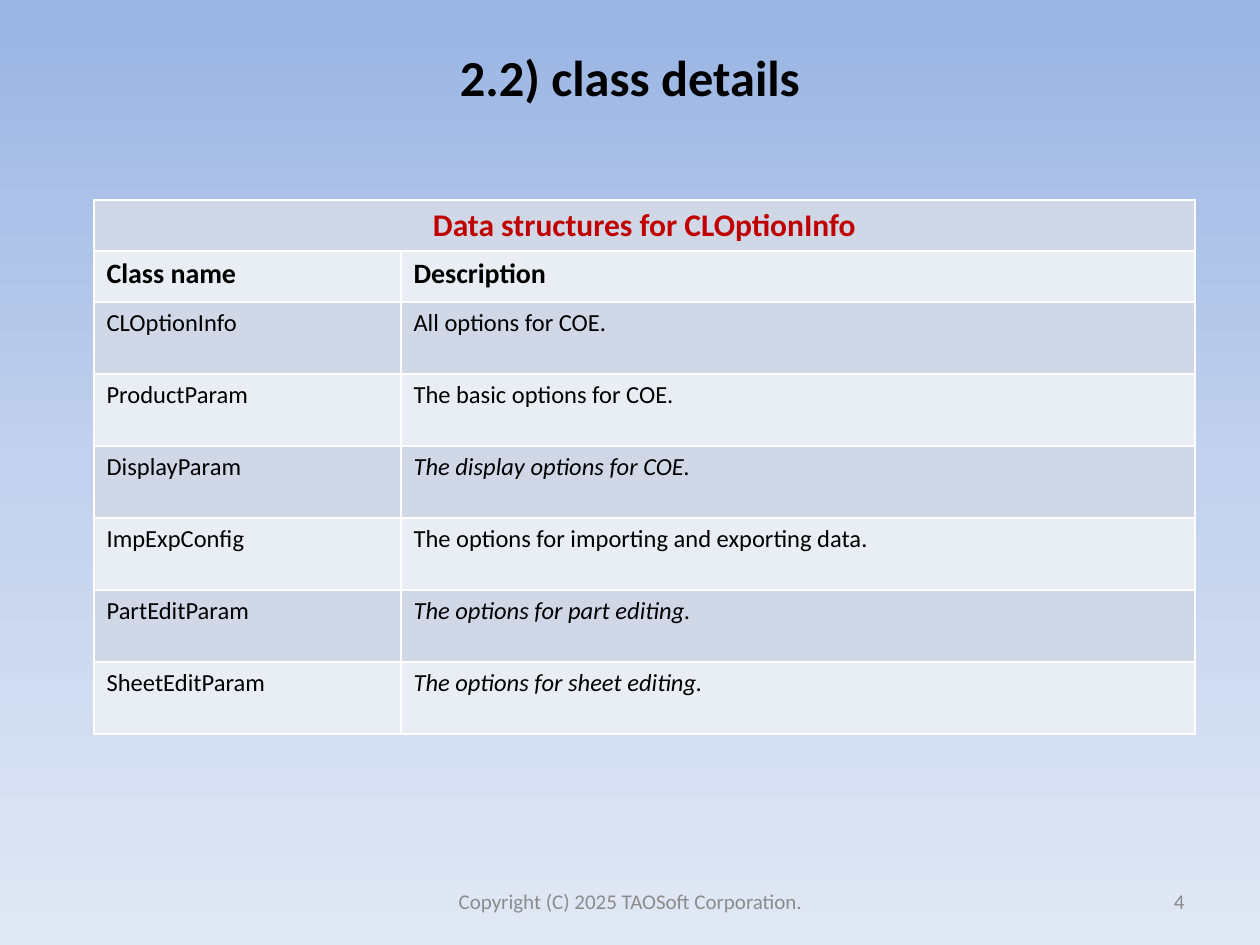
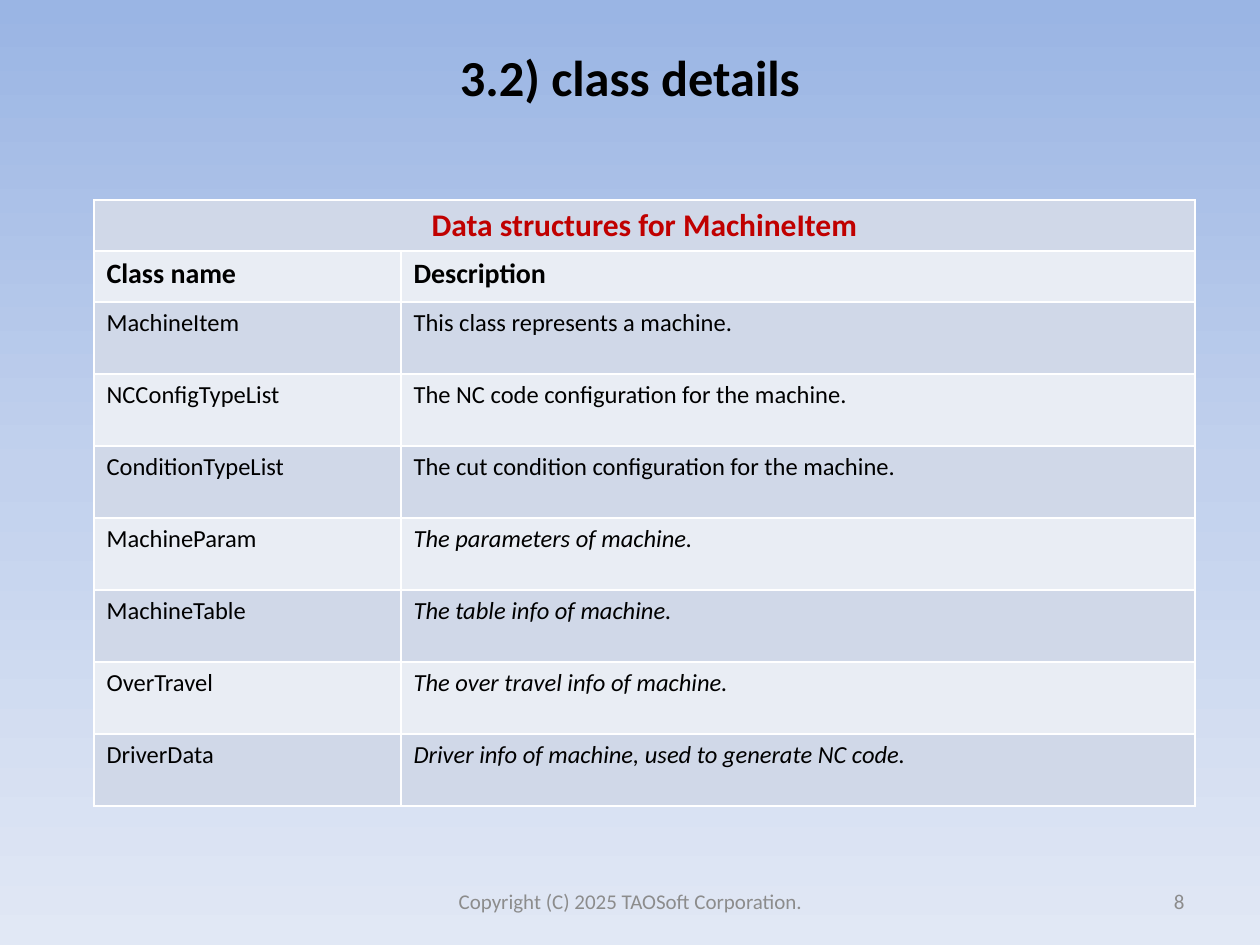
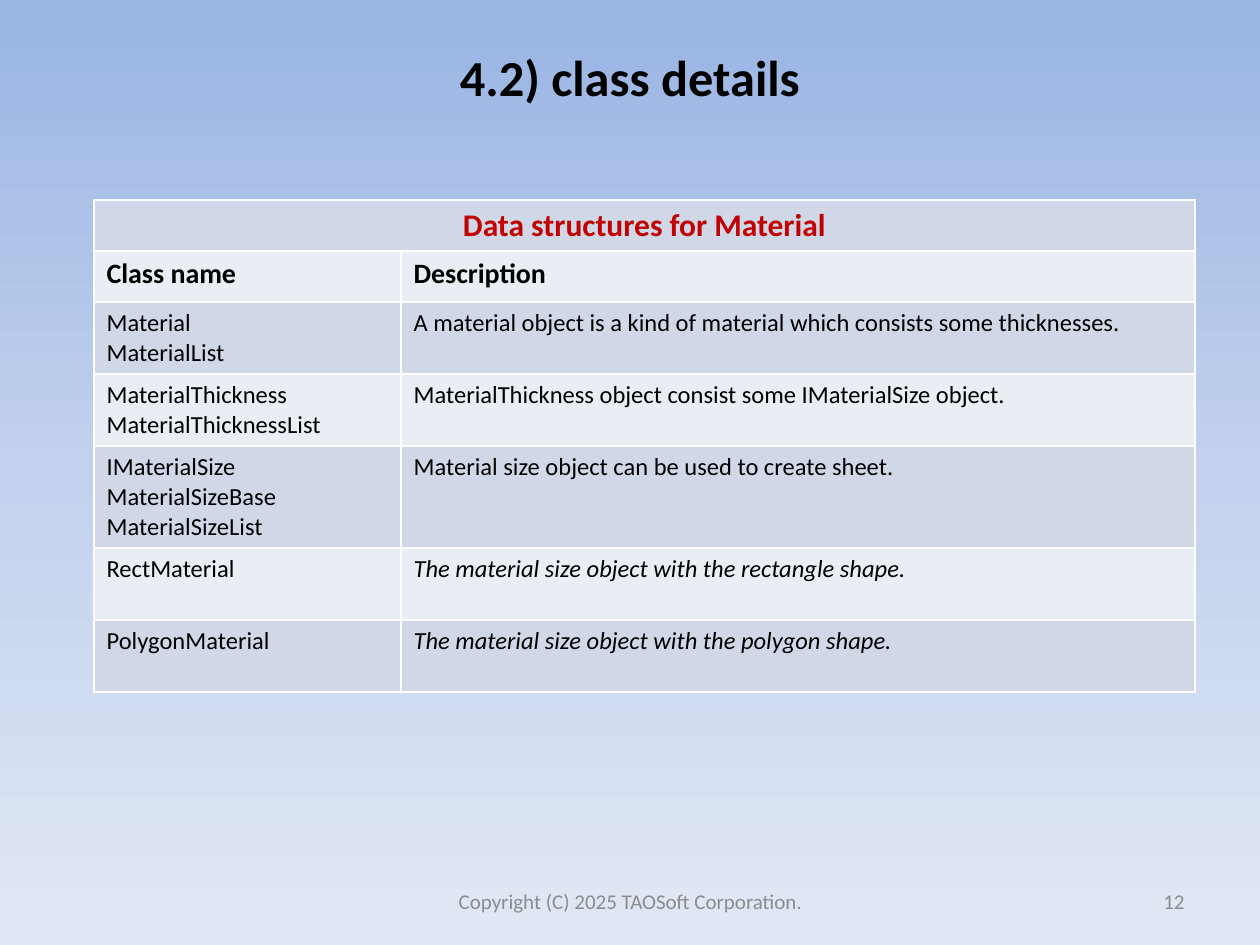
from copy import deepcopy

from lxml import etree
from pptx import Presentation
from pptx import util as u
from pptx.dml.color import RGBColor
from pptx.enum import text
from pptx.oxml import ns

SCALE = 914400 / 126
FONT = "Calibri"
COLORS = {
    "sky": "9AB5E4", "haze": "C2D1ED", "mist": "E1E8F5",
    "band": "D0D8E8", "band_light": "E9EDF4", "border": "FFFFFF",
    "ink": "000000", "heading": "C00000", "footer": "8C8C8C",
}
GRADIENT = [(0, "sky"), (0.5, "haze"), (1, "mist")]
COPYRIGHT = "Copyright (C) 2025 TAOSoft Corporation."
HEADERS = ("Class name", "Description")

TITLE_BOX = (63, 46, 1134, 97)
COPYRIGHT_BOX = (431, 876, 399, 50)
NUMBER_BOX = (903, 876, 294, 50)
TABLE_LEFT, TABLE_TOP = 94, 200
COLUMN_WIDTHS = (307, 794)
HEADER_HEIGHT, CLASS_HEIGHT, EXTRA_LINE = 51, 72, 30

PAGES = [
    {
        "title": "2.2) class details", "number": "4",
        "heading": "Data structures for CLOptionInfo",
        "classes": [
            ("CLOptionInfo", "All options for COE.", False),
            ("ProductParam", "The basic options for COE.", False),
            ("DisplayParam", "The display options for COE.", True),
            ("ImpExpConfig", "The options for importing and exporting data.", False),
            ("PartEditParam", "The options for part editing.", True),
            ("SheetEditParam", "The options for sheet editing.", True),
        ],
    },
    {
        "title": "3.2) class details", "number": "8",
        "heading": "Data structures for MachineItem",
        "classes": [
            ("MachineItem", "This class represents a machine.", False),
            ("NCConfigTypeList", "The NC code configuration for the machine.", False),
            ("ConditionTypeList", "The cut condition configuration for the machine.", False),
            ("MachineParam", "The parameters of machine.", True),
            ("MachineTable", "The table info of machine.", True),
            ("OverTravel", "The over travel info of machine.", True),
            ("DriverData", "Driver info of machine, used to generate NC code.", True),
        ],
    },
    {
        "title": "4.2) class details", "number": "12",
        "heading": "Data structures for Material",
        "classes": [
            ("Material\nMaterialList",
             "A material object is a kind of material which consists some thicknesses.", False),
            ("MaterialThickness\nMaterialThicknessList",
             "MaterialThickness object consist some IMaterialSize object.", False),
            ("IMaterialSize\nMaterialSizeBase\nMaterialSizeList",
             "Material size object can be used to create sheet.", False),
            ("RectMaterial", "The material size object with the rectangle shape.", True),
            ("PolygonMaterial", "The material size object with the polygon shape.", True),
        ],
    },
]


def px(length):
    return u.Emu(round(length * SCALE))


def color(name):
    return RGBColor.from_string(COLORS[name])


def write(frame, words, size=14, ink="ink", bold=False, italic=False, align="LEFT"):
    frame.text = words
    for para in frame.paragraphs:
        para.alignment = text.PP_ALIGN[align]
        for span in para.runs:
            span.font.name = FONT
            span.font.size = u.Pt(size)
            span.font.bold = bold
            span.font.italic = italic
            span.font.color.rgb = color(ink)


def paint_background(master):
    fill = master.background.fill
    fill.gradient()
    fill.gradient_angle = 270
    stop_list = next(master.element.iter(ns.qn("a:gsLst")))
    stop_list.append(deepcopy(stop_list[-1]))
    for stop, (position, name) in zip(fill.gradient_stops, GRADIENT):
        stop.position = position
        stop.color.rgb = color(name)


def add_title(page, words):
    title = page.shapes.title
    title.left, title.top, title.width, title.height = map(px, TITLE_BOX)
    frame = title.text_frame
    frame.auto_size = text.MSO_AUTO_SIZE.NONE
    frame.vertical_anchor = text.MSO_ANCHOR.TOP
    frame.margin_top = frame.margin_bottom = 0
    write(frame, words, size=28.8, bold=True, align="CENTER")


def add_footer(page, place, words, align):
    frame = page.shapes.add_textbox(*map(px, place)).text_frame
    frame.word_wrap = True
    frame.vertical_anchor = text.MSO_ANCHOR.MIDDLE
    write(frame, words, size=12, ink="footer", align=align)


def style_cell(cell, fill):
    properties = cell._tc.get_or_add_tcPr()
    for side in ("lnL", "lnR", "lnT", "lnB"):
        line = etree.SubElement(properties, ns.qn(f"a:{side}"), w=str(u.Pt(1)))
        solid = etree.SubElement(line, ns.qn("a:solidFill"))
        etree.SubElement(solid, ns.qn("a:srgbClr"), val=COLORS["border"])
    cell.fill.solid()
    cell.fill.fore_color.rgb = color(fill)


def add_class_table(page, heading, classes):
    heights = [HEADER_HEIGHT] * 2
    heights += [CLASS_HEIGHT + EXTRA_LINE * max(0, names.count("\n") - 1)
                for names, _, _ in classes]
    table = page.shapes.add_table(
        len(heights), len(COLUMN_WIDTHS), px(TABLE_LEFT), px(TABLE_TOP),
        px(sum(COLUMN_WIDTHS)), px(sum(heights))).table
    table.first_row = table.horz_banding = False
    for column, width in zip(table.columns, COLUMN_WIDTHS):
        column.width = px(width)
    for index, (row, height) in enumerate(zip(table.rows, heights)):
        row.height = px(height)
        for cell in row.cells:
            style_cell(cell, "band_light" if index % 2 else "band")

    table.cell(0, 0).merge(table.cell(0, 1))
    write(table.cell(0, 0).text_frame, heading, size=18, ink="heading",
          bold=True, align="CENTER")
    for column, header in enumerate(HEADERS):
        write(table.cell(1, column).text_frame, header, size=16, bold=True)
    for row, (names, description, italic) in enumerate(classes, 2):
        write(table.cell(row, 0).text_frame, names)
        write(table.cell(row, 1).text_frame, description, italic=italic)


def main():
    deck = Presentation()
    deck.slide_width, deck.slide_height = px(1260), px(945)
    paint_background(deck.slide_master)
    for content in PAGES:
        page = deck.slides.add_slide(deck.slide_layouts[5])
        add_footer(page, COPYRIGHT_BOX, COPYRIGHT, "CENTER")
        add_footer(page, NUMBER_BOX, content["number"], "RIGHT")
        add_title(page, content["title"])
        add_class_table(page, content["heading"], content["classes"])
    deck.save("out.pptx")


if __name__ == "__main__":
    main()
